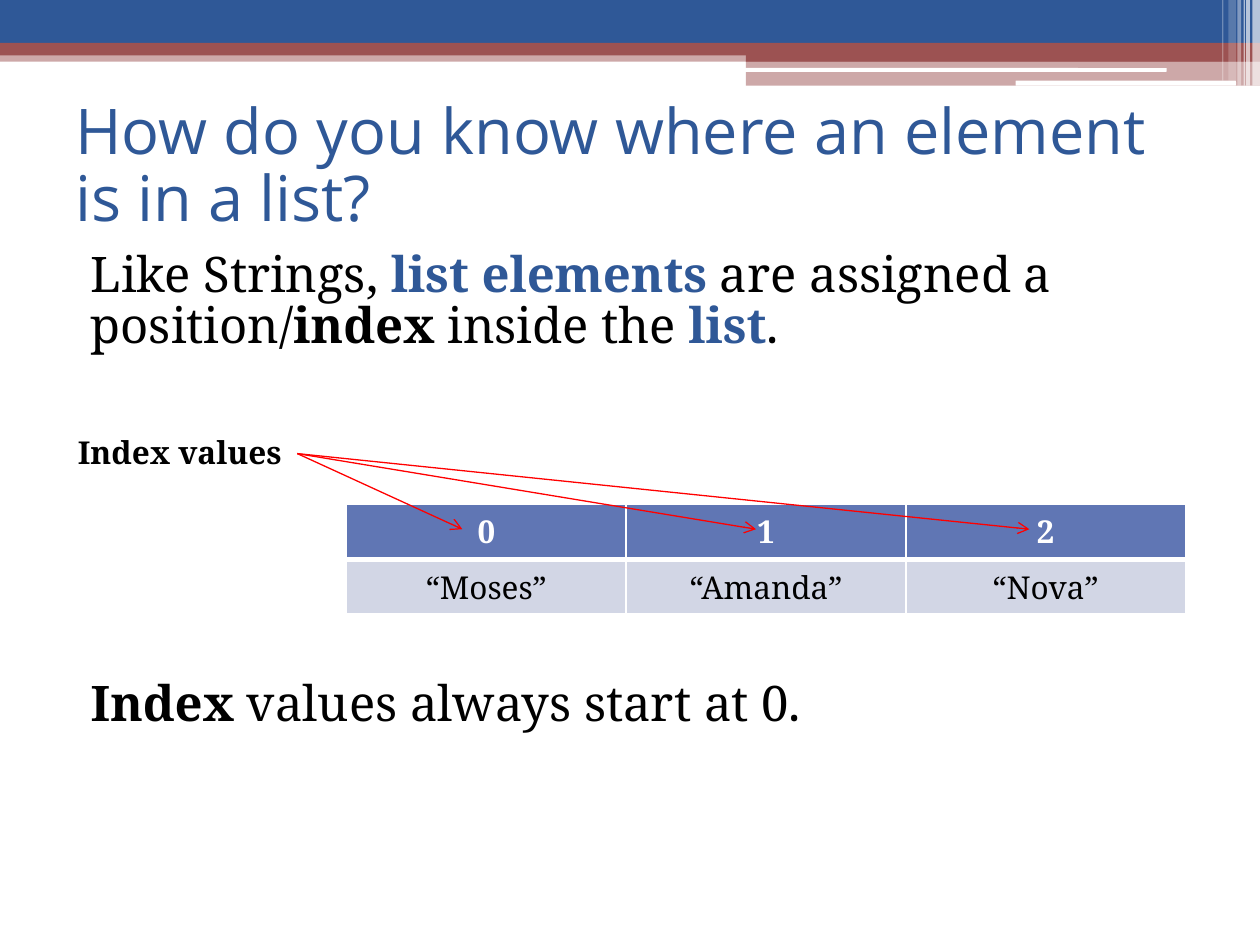
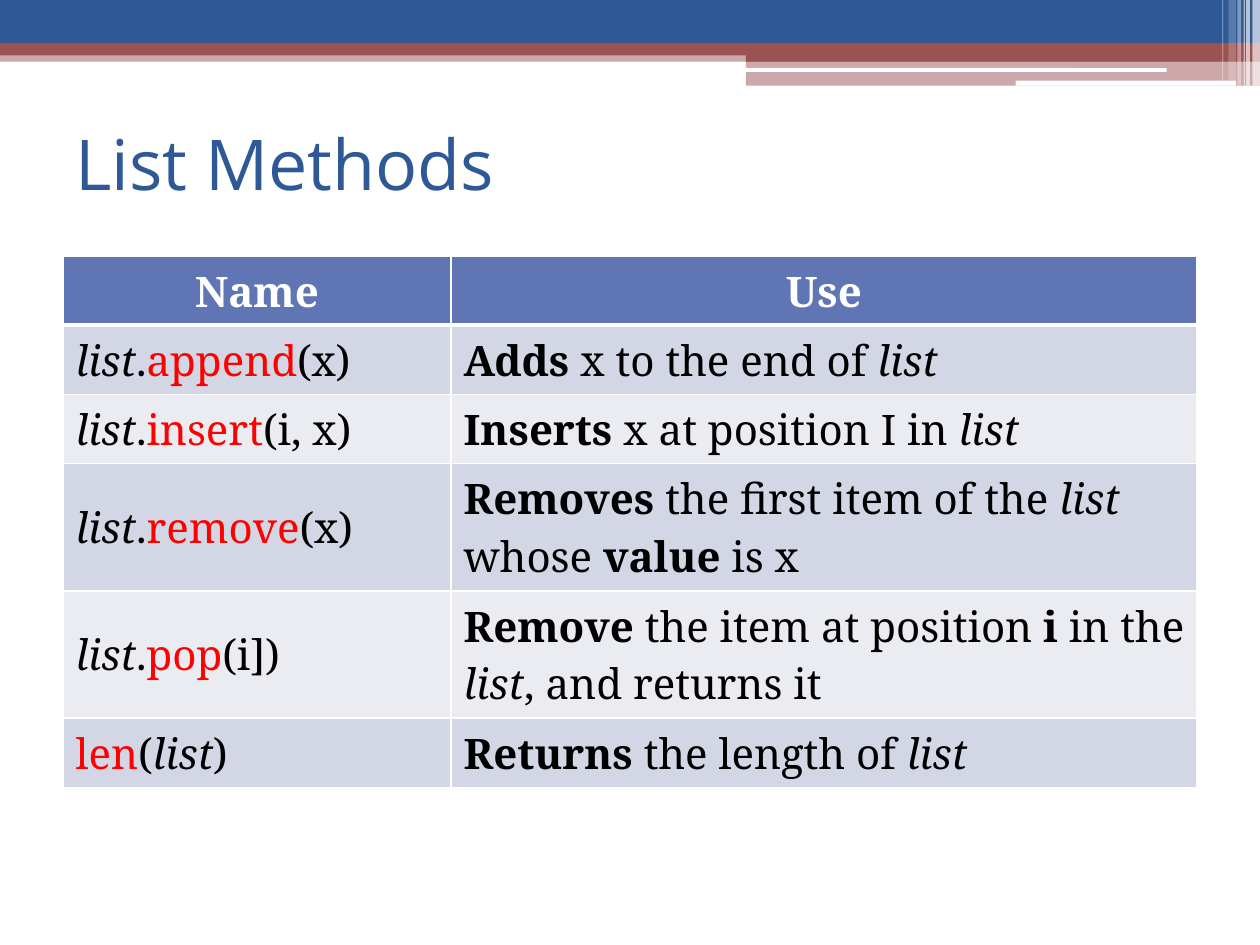
import dataclasses
import typing

import lxml.etree
import pptx
import pptx.dml.color
import pptx.enum.shapes
import pptx.enum.text
import pptx.oxml.ns
import pptx.shapes.autoshape
import pptx.slide
import pptx.table
import pptx.text.text
import pptx.util

Inches = pptx.util.Inches
Pt = pptx.util.Pt
Color = pptx.dml.color.RGBColor
Align = pptx.enum.text.PP_ALIGN
Anchor = pptx.enum.text.MSO_ANCHOR
Preset = pptx.enum.shapes.MSO_SHAPE
qn = pptx.oxml.ns.qn


@dataclasses.dataclass(frozen=True)
class Theme:
    blue: Color = Color(0x2F, 0x58, 0x97)
    brick: Color = Color(0x9C, 0x52, 0x52)
    white: Color = Color(0xFF, 0xFF, 0xFF)
    black: Color = Color(0, 0, 0)
    red: Color = Color(0xFF, 0, 0)
    header: Color = Color(0x60, 0x76, 0xB4)
    bands: tuple[Color, Color] = (Color(0xD2, 0xD6, 0xE5), Color(0xEA, 0xEC, 0xF2))
    title_font: str = "Open Sans"
    body_font: str = "Noto Serif"
    title_size: int = 40
    long_title_size: int = 36
    body_size: int = 28
    table_size: int = 24
    label_size: int = 18
    tight_spacing: float = 0.88


THEME = Theme()


class Band(typing.NamedTuple):
    left: float
    top: float
    width: float
    height: float
    color: Color
    opacity: int = 100
    rounded: bool = False


class Run(typing.NamedTuple):
    text: str
    bold: bool = False
    italic: bool = False
    color: Color | None = None


class TextStyle(typing.NamedTuple):
    font: str
    size: int
    color: Color
    bold: bool = False
    align: Align = Align.LEFT


BANDS = [
    Band(0, 0.4, 10, 0.09, THEME.brick, 50),
    Band(0, 0, 10, 0.34, THEME.blue),
    Band(0, 0.34, 10, 0.1, THEME.brick),
    Band(5.92, 0.39, 4.08, 0.1, THEME.brick),
    Band(5.92, 0.48, 4.08, 0.2, THEME.brick, 50),
    Band(5.91, 0.54, 3.35, 0.03, THEME.white, rounded=True),
    Band(8.06, 0.64, 1.75, 0.04, THEME.white, rounded=True),
    Band(9.94, 0, 0.06, 0.68, THEME.white, 65),
    Band(9.89, 0, 0.03, 0.68, THEME.white, 65),
    Band(9.87, 0, 0.01, 0.68, THEME.white, 60),
    Band(9.82, 0, 0.03, 0.68, THEME.white, 40),
    Band(9.75, 0, 0.06, 0.64, THEME.white, 20),
    Band(9.7, 0, 0.01, 0.64, THEME.white, 30),
]


def draw_band(slide: pptx.slide.Slide, band: Band) -> None:
    preset = Preset.ROUNDED_RECTANGLE if band.rounded else Preset.RECTANGLE
    shape = slide.shapes.add_shape(
        preset, Inches(band.left), Inches(band.top), Inches(band.width), Inches(band.height)
    )
    shape.shadow.inherit = False
    shape.fill.solid()
    shape.fill.fore_color.rgb = band.color
    shape.line.fill.background()
    if band.opacity < 100:
        color = shape.element.spPr.find(".//" + qn("a:srgbClr"))
        lxml.etree.SubElement(color, qn("a:alpha"), val=str(band.opacity * 1000))


def write_runs(
    paragraph: pptx.text.text._Paragraph, runs: typing.Sequence[Run], style: TextStyle
) -> None:
    paragraph.alignment = style.align
    paragraph.font.name = style.font
    paragraph.font.size = Pt(style.size)
    paragraph.font.bold = style.bold
    paragraph.font.color.rgb = style.color
    for item in runs:
        run = paragraph.add_run()
        run.text = item.text
        if item.bold:
            run.font.bold = True
        if item.italic:
            run.font.italic = True
        if item.color is not None:
            run.font.color.rgb = item.color


def add_text_box(
    slide: pptx.slide.Slide, left: float, top: float, width: float, height: float
) -> pptx.text.text.TextFrame:
    box = slide.shapes.add_textbox(Inches(left), Inches(top), Inches(width), Inches(height))
    box.text_frame.word_wrap = True
    return box.text_frame


def add_titled_slide(
    presentation: pptx.presentation.Presentation, title: str, size: int
) -> pptx.slide.Slide:
    slide = presentation.slides.add_slide(presentation.slide_layouts[6])
    for band in BANDS:
        draw_band(slide, band)
    frame = add_text_box(slide, 0.5, 0.75, 9, 1.17)
    frame.vertical_anchor = Anchor.MIDDLE
    paragraph = frame.paragraphs[0]
    paragraph.line_spacing = THEME.tight_spacing
    write_runs(paragraph, [Run(title)], TextStyle(THEME.title_font, size, THEME.blue))
    return slide


def set_borders(cell: pptx.table._Cell, bottom: int) -> None:
    properties = cell._tc.get_or_add_tcPr()
    widths = {"a:lnL": 1, "a:lnR": 1, "a:lnT": 1, "a:lnB": bottom}
    for position, (tag, width) in enumerate(widths.items()):
        line = lxml.etree.Element(qn(tag), w=str(Pt(width)))
        fill = lxml.etree.SubElement(line, qn("a:solidFill"))
        lxml.etree.SubElement(fill, qn("a:srgbClr"), val=str(THEME.white))
        properties.insert(position, line)


def add_banded_table(
    slide: pptx.slide.Slide,
    left: float,
    top: float,
    widths: typing.Sequence[float],
    heights: typing.Sequence[float],
    rows: typing.Sequence[typing.Sequence[typing.Sequence[Run]]],
    size: int,
    body_align: Align,
) -> None:
    table = slide.shapes.add_table(
        len(heights), len(widths), Inches(left), Inches(top),
        Inches(sum(widths)), Inches(sum(heights)),
    ).table
    for column, width in zip(table.columns, widths):
        column.width = Inches(width)
    header_style = TextStyle(THEME.body_font, size, THEME.white, True, Align.CENTER)
    body_style = TextStyle(THEME.body_font, size, THEME.black, False, body_align)
    for row_index, (height, row) in enumerate(zip(heights, rows)):
        table.rows[row_index].height = Inches(height)
        is_header = row_index == 0
        for column_index, runs in enumerate(row):
            cell = table.cell(row_index, column_index)
            cell.vertical_anchor = Anchor.MIDDLE
            cell.fill.solid()
            cell.fill.fore_color.rgb = (
                THEME.header if is_header else THEME.bands[(row_index - 1) % 2]
            )
            set_borders(cell, 3 if is_header else 1)
            style = header_style if is_header else body_style
            write_runs(cell.text_frame.paragraphs[0], runs, style)


def add_arrow(
    slide: pptx.slide.Slide, start: tuple[float, float], end: tuple[float, float]
) -> None:
    connector = slide.shapes.add_connector(
        pptx.enum.shapes.MSO_CONNECTOR.STRAIGHT, *(Inches(value) for value in start + end)
    )
    connector.line.color.rgb = THEME.red
    connector.line.width = Pt(0.75)
    properties = connector.element.spPr
    lxml.etree.SubElement(properties.find(qn("a:ln")), qn("a:tailEnd"), type="arrow")
    lxml.etree.SubElement(properties, qn("a:effectLst"))


def build_index_slide(presentation: pptx.presentation.Presentation) -> None:
    slide = add_titled_slide(
        presentation, "How do you know where an element is in a list?", THEME.long_title_size
    )
    body = add_text_box(slide, 0.5, 1.94, 9, 5.23)
    body.margin_left = Inches(0.22)
    statements = [
        (3, [
            Run("Like Strings, "),
            Run("list elements ", bold=True, color=THEME.blue),
            Run("are assigned a position/"),
            Run("index", bold=True),
            Run(" inside the "),
            Run("list", bold=True, color=THEME.blue),
            Run("."),
        ]),
        (186, [Run("Index", bold=True), Run(" values always start at 0.")]),
    ]
    body_style = TextStyle(THEME.body_font, THEME.body_size, THEME.black)
    for index, (space_before, runs) in enumerate(statements):
        paragraph = body.add_paragraph() if index else body.paragraphs[0]
        paragraph.space_before = Pt(space_before)
        paragraph.line_spacing = THEME.tight_spacing
        write_runs(paragraph, runs, body_style)

    names = ["Moses", "Amanda", "Nova"]
    rows = [
        [[Run(str(index))] for index in range(len(names))],
        [[Run(f"\u201c{name}\u201d")] for name in names],
    ]
    add_banded_table(
        slide, 2.75, 4, [2.22] * len(names), [0.44, 0.43], rows, THEME.label_size, Align.CENTER
    )
    label = add_text_box(slide, 0.52, 3.39, 1.84, 0.4)
    label.word_wrap = False
    write_runs(
        label.paragraphs[0],
        [Run("Index values")],
        TextStyle(THEME.body_font, THEME.label_size, THEME.black, True),
    )
    for tip in (3.67, 6, 8.17):
        add_arrow(slide, (2.36, 3.6), (tip, 4.2))


def method_call(name: str, arguments: str) -> list[Run]:
    return [Run("list", italic=True), Run("."), Run(name, color=THEME.red), Run(arguments)]


def build_methods_slide(presentation: pptx.presentation.Presentation) -> None:
    slide = add_titled_slide(presentation, "List Methods", THEME.title_size)
    list_word = Run("list", italic=True)
    rows = [
        [[Run("Name")], [Run("Use")]],
        [
            method_call("append", "(x)"),
            [Run("Adds", bold=True), Run(" x to the end of "), list_word],
        ],
        [
            method_call("insert", "(i, x)"),
            [Run("Inserts", bold=True), Run(" x at position I in "), list_word],
        ],
        [
            method_call("remove", "(x)"),
            [
                Run("Removes", bold=True), Run(" the first item of the "), list_word,
                Run(" whose "), Run("value", bold=True), Run(" is x"),
            ],
        ],
        [
            method_call("pop", "(i])"),
            [
                Run("Remove", bold=True), Run(" the item at position "), Run("i", bold=True),
                Run(" in the "), list_word, Run(", and returns it"),
            ],
        ],
        [
            [Run("len", color=THEME.red), Run("("), list_word, Run(")")],
            [Run("Returns", bold=True), Run(" the length of "), list_word],
        ],
    ]
    single, double = 0.55, 1.01
    heights = [single, single, single, double, double, single]
    add_banded_table(
        slide, 0.5, 2.03, [3.08, 5.92], heights, rows, THEME.table_size, Align.LEFT
    )


presentation = pptx.Presentation()
presentation.slide_width = Inches(10)
presentation.slide_height = Inches(7.5)
build_index_slide(presentation)
build_methods_slide(presentation)
presentation.save("out.pptx")
